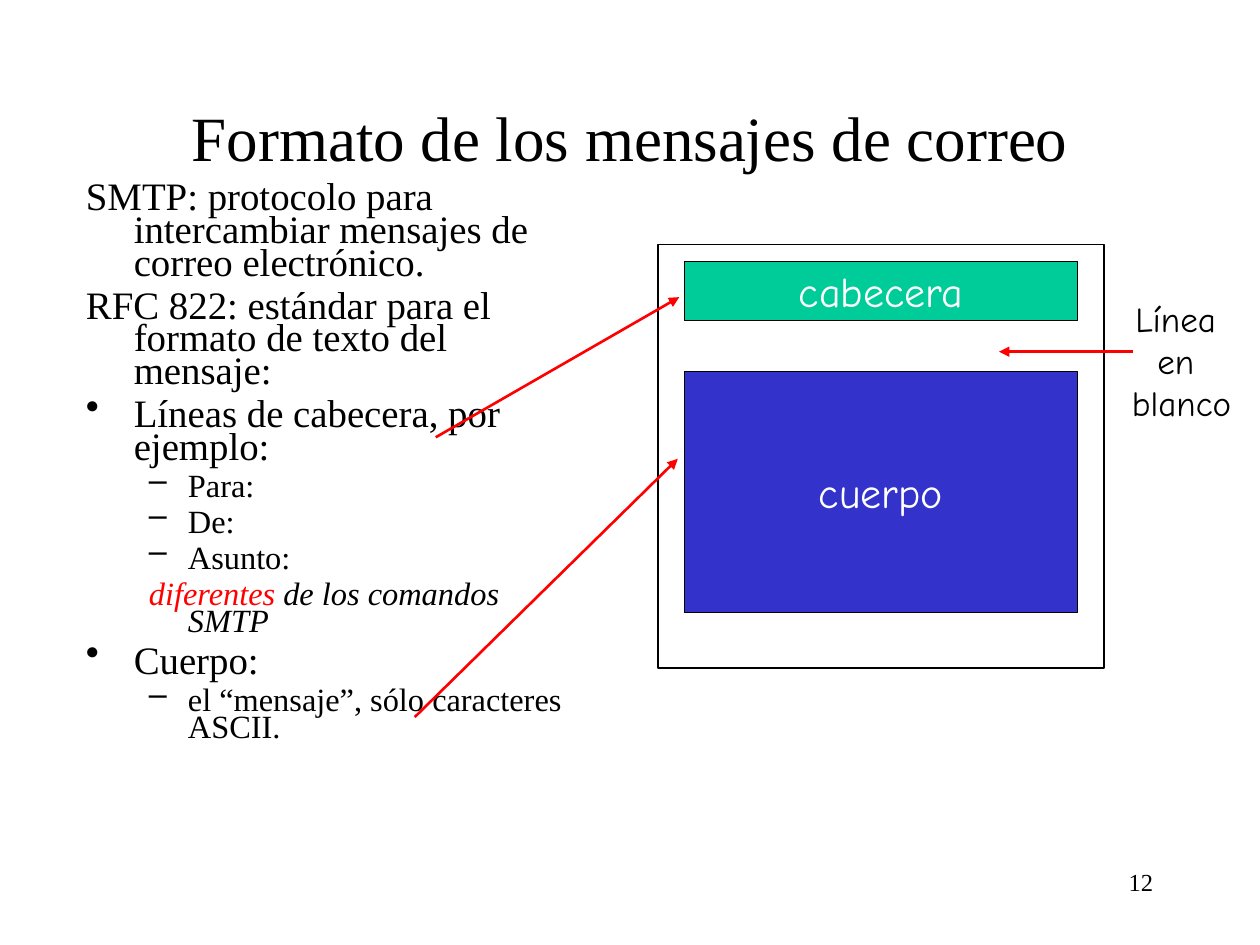
from dataclasses import dataclass

from lxml.etree import SubElement
from pptx import Presentation
from pptx.dml.color import RGBColor
from pptx.enum.shapes import MSO_CONNECTOR, MSO_SHAPE
from pptx.enum.text import MSO_ANCHOR, MSO_AUTO_SIZE, PP_ALIGN
from pptx.oxml.ns import qn
from pptx.util import Inches, Pt

COLS, ROWS = 120, 90
BLACK = RGBColor(0x00, 0x00, 0x00)
WHITE = RGBColor(0xFF, 0xFF, 0xFF)
RED = RGBColor(0xFF, 0x00, 0x00)
GREEN = RGBColor(0x00, 0xCC, 0x99)
BLUE = RGBColor(0x33, 0x33, 0xCC)
SERIF, COMIC = "Times New Roman", "Comic Neue"

LEVELS = [
    {"size": 22.2, "before": 6, "margin": 0.38, "hang": 0.38, "bullet": "•"},
    {"size": 18.5, "before": 5, "margin": 0.81, "hang": 0.31, "bullet": "–"},
]
OUTLINE = [
    (0, False, "SMTP: protocolo para intercambiar mensajes de correo electrónico."),
    (0, False, "RFC 822: estándar para el formato de texto del mensaje:"),
    (0, True, "Líneas de cabecera, por ejemplo:"),
    (1, True, "Para:"),
    (1, True, "De:"),
    (1, True, "Asunto:"),
    (1, False, "diferentes |de los comandos SMTP"),
    (0, True, "Cuerpo:"),
    (1, True, "el “mensaje”, sólo caracteres ASCII."),
]


@dataclass
class Box:
    """A rectangle in slide units."""

    x: int
    y: int
    w: int
    h: int

    def share(self, x, y, w, h):
        """Return the inner box given as shares of this one."""
        return Box(int(self.x + x * self.w), int(self.y + y * self.h),
                   int(w * self.w), int(h * self.h))

    def cells(self, x, y, w, h):
        """Return the inner box given in grid columns and rows."""
        return self.share(x / COLS, y / ROWS, w / COLS, h / ROWS)

    @property
    def frame(self):
        """Return left, top, width and height."""
        return self.x, self.y, self.w, self.h


def style(p, size, font, color, align=None):
    """Format every run of a paragraph."""
    p.alignment = align
    for r in p.runs:
        r.font.size = Pt(size)
        r.font.name = font
        r.font.color.rgb = color


def add_title(s, box, text):
    """Place the title placeholder in the box."""
    sp = s.shapes.title
    sp.left, sp.top, sp.width, sp.height = box.frame
    tf = sp.text_frame
    tf.text = text
    tf.auto_size = MSO_AUTO_SIZE.NONE
    tf.vertical_anchor = MSO_ANCHOR.MIDDLE
    style(tf.paragraphs[0], 36, SERIF, BLACK, PP_ALIGN.CENTER)


def add_text(s, box, lines, size, font, align, wrap=True):
    """Add a text box with one paragraph per line."""
    tf = s.shapes.add_textbox(*box.frame).text_frame
    tf.word_wrap = wrap
    tf.text = "\n".join(lines)
    for p in tf.paragraphs:
        style(p, size, font, BLACK, align)


def set_indent(p, level, bulleted):
    """Give a paragraph its hanging indent and bullet."""
    pPr = p._p.get_or_add_pPr()
    pPr.set("marL", str(Inches(level["margin"])))
    pPr.set("indent", str(-Inches(level["hang"])))
    if bulleted:
        SubElement(pPr, qn("a:buChar"), char=level["bullet"])
    else:
        SubElement(pPr, qn("a:buNone"))


def add_outline(s, box):
    """Add the bulleted explanation, with a marked lead before each bar."""
    tf = s.shapes.add_textbox(*box.frame).text_frame
    tf.word_wrap = True
    for i, (depth, bulleted, text) in enumerate(OUTLINE):
        p = tf.add_paragraph() if i else tf.paragraphs[0]
        level = LEVELS[depth]
        p.level = depth
        p.line_spacing = 0.7
        p.space_before = Pt(level["before"])
        set_indent(p, level, bulleted)
        pieces = text.split("|")
        for piece in pieces:
            p.add_run().text = piece
        style(p, level["size"], SERIF, BLACK)
        if len(pieces) > 1:
            for r in p.runs:
                r.font.italic = True
            p.runs[0].font.color.rgb = RED


def add_block(s, box, line_width, fill=None, text=""):
    """Add an outlined rectangle with an optional fill and label."""
    sp = s.shapes.add_shape(MSO_SHAPE.RECTANGLE, *box.frame)
    sp.shadow.inherit = False
    sp.line.color.rgb = BLACK
    sp.line.width = Pt(line_width)
    if fill is None:
        sp.fill.background()
    else:
        sp.fill.solid()
        sp.fill.fore_color.rgb = fill
    if text:
        tf = sp.text_frame
        tf.word_wrap = False
        tf.vertical_anchor = MSO_ANCHOR.MIDDLE
        tf.text = text
        style(tf.paragraphs[0], 24, COMIC, WHITE, PP_ALIGN.CENTER)


def add_message(s, box):
    """Draw the message with its header and body."""
    add_block(s, box.share(0.06, 0.04, 0.88, 0.14), 0.75, GREEN, "cabecera")
    add_block(s, box.share(0.06, 0.3, 0.88, 0.57), 0.75, BLUE, "cuerpo")
    add_block(s, box, 1)


def add_arrow(s, box, start, end):
    """Draw a red arrow between two grid points of the box."""
    a, b = box.cells(*start, 0, 0), box.cells(*end, 0, 0)
    arrow = s.shapes.add_connector(MSO_CONNECTOR.STRAIGHT, a.x, a.y, b.x, b.y)
    arrow.line.color.rgb = RED
    arrow.line.width = Pt(1.5)
    SubElement(arrow.get_or_add_ln(), qn("a:tailEnd"), type="triangle")
    SubElement(arrow._element.spPr, qn("a:effectLst"))


def main():
    """Build and save the slide."""
    prs = Presentation()
    prs.slide_width, prs.slide_height = Inches(10), Inches(7.5)
    s = prs.slides.add_slide(prs.slide_layouts[5])
    page = Box(0, 0, prs.slide_width, prs.slide_height)
    add_title(s, page.cells(9, 8, 102, 10), "Formato de los mensajes de correo")
    add_outline(s, page.cells(7, 17, 50, 61))
    add_message(s, page.cells(62.65, 23.3, 42.5, 40.3))
    add_arrow(s, page, (41.5, 41.65), (64.7, 28.3))
    add_arrow(s, page, (39.5, 68.3), (64.55, 43.7))
    add_text(s, page.cells(104.65, 27.7, 14.65, 9.25), ["Línea en", " blanco"],
             20, COMIC, PP_ALIGN.CENTER, wrap=False)
    add_arrow(s, page, (107.9, 33.5), (95.15, 33.5))
    add_text(s, page.cells(86, 82, 25, 6), ["12"], 14, SERIF, PP_ALIGN.RIGHT)
    prs.save("out.pptx")


if __name__ == "__main__":
    main()
